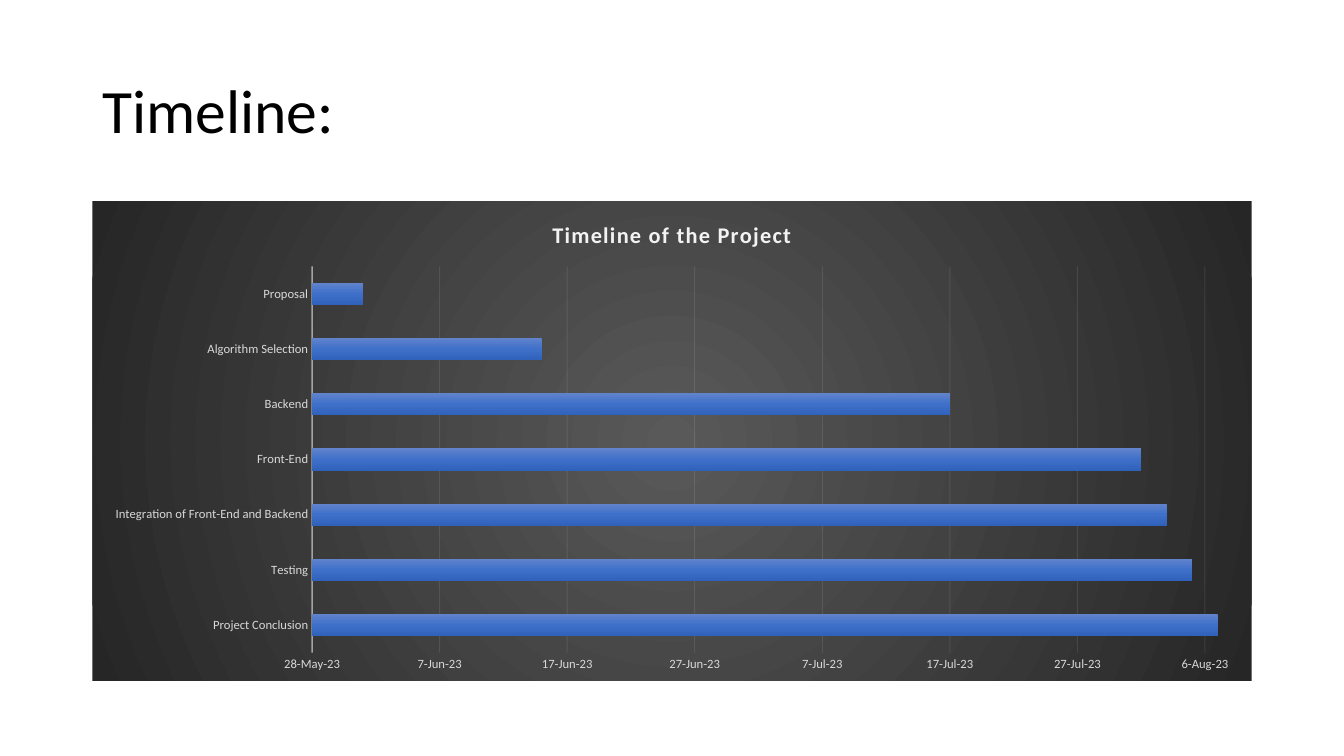
from lxml import etree
from pptx import Presentation
from pptx.chart.data import CategoryChartData
from pptx.dml.color import RGBColor
from pptx.enum.chart import XL_CHART_TYPE, XL_TICK_MARK
from pptx.enum.text import MSO_ANCHOR, MSO_AUTO_SIZE, PP_ALIGN
from pptx.oxml import parse_xml
from pptx.oxml.ns import nsdecls, qn
from pptx.util import Cm, Pt

BAR_STACKED = XL_CHART_TYPE.BAR_STACKED
NO_TICK = XL_TICK_MARK.NONE
MIDDLE = MSO_ANCHOR.MIDDLE
NO_AUTOFIT = MSO_AUTO_SIZE.NONE
LEFT = PP_ALIGN.LEFT

FONT = "Calibri"
DATE_FORMAT = r"d\-mmm\-yy"
MILESTONES = [
    ("Project Conclusion", 45145),
    ("Testing", 45143),
    ("Integration of Front-End and Backend", 45141),
    ("Front-End", 45139),
    ("Backend", 45124),
    ("Algorithm Selection", 45092),
    ("Proposal", 45078),
]


def style_font(font, size, color):
    font.name = FONT
    font.size = Pt(size)
    font.color.rgb = RGBColor.from_string(color)


def gradient_fill(stops, direction):
    stop_xml = "".join(
        f'<a:gs pos="{position * 1000}"><a:srgbClr val="{color}"/></a:gs>'
        for position, color in stops
    )
    return parse_xml(
        f'<a:gradFill {nsdecls("a")} rotWithShape="1">'
        f"<a:gsLst>{stop_xml}</a:gsLst>{direction}</a:gradFill>"
    )


presentation = Presentation()
presentation.slide_width = Cm(33.87)
presentation.slide_height = Cm(19.05)
slide = presentation.slides.add_slide(presentation.slide_layouts[5])

title = slide.shapes.title
title.left, title.top, title.width, title.height = Cm(2.33), Cm(1.01), Cm(29.21), Cm(3.68)
title.text_frame.text = "Timeline:"
title.text_frame.vertical_anchor = MIDDLE
title.text_frame.auto_size = NO_AUTOFIT
title_paragraph = title.text_frame.paragraphs[0]
title_paragraph.alignment = LEFT
title_paragraph.line_spacing = 0.9
style_font(title_paragraph.runs[0].font, 44, "000000")

chart_data = CategoryChartData(number_format=DATE_FORMAT)
chart_data.categories = [name for name, date in MILESTONES]
chart_data.add_series("Series 1", [date for name, date in MILESTONES])
chart = slide.shapes.add_chart(
    BAR_STACKED, Cm(2.33), Cm(5.07), Cm(29.21), Cm(12.09), chart_data
).chart
chart.has_legend = False
style_font(chart.font, 10, "000000")

chart.has_title = True
chart.chart_title.include_in_layout = False
chart.chart_title.text_frame.text = "Timeline of the Project"
heading_run = chart.chart_title.text_frame.paragraphs[0].runs[0]
style_font(heading_run.font, 16, "F2F2F2")
heading_run.font.bold = True
heading_run.font._element.set("spc", "100")

plot = chart.plots[0]
plot.gap_width = 150
plot.overlap = 100
bar_properties = plot.series[0]._element.get_or_add_spPr()
bar_properties.append(
    gradient_fill(
        [(0, "6183CB"), (50, "3E70CA"), (100, "3062BB")],
        '<a:lin ang="5400000" scaled="0"/>',
    )
)

background = parse_xml(f'<c:spPr {nsdecls("c", "a")}/>')
background.append(
    gradient_fill(
        [(0, "595959"), (100, "262626")],
        '<a:path path="circle"><a:fillToRect l="50000" t="50000" r="50000" b="50000"/></a:path>',
    )
)
background_line = etree.SubElement(background, qn("a:ln"))
etree.SubElement(background_line, qn("a:noFill"))
chart.element.find(qn("c:chart")).addnext(background)

category_axis = chart.category_axis
value_axis = chart.value_axis
for axis in (category_axis, value_axis):
    axis.major_tick_mark = NO_TICK
    axis.minor_tick_mark = NO_TICK
    style_font(axis.tick_labels.font, 9, "D9D9D9")

value_axis.minimum_scale = 45074
value_axis.maximum_scale = 45145
value_axis.major_unit = 10
value_axis.tick_labels.number_format = DATE_FORMAT
value_axis.tick_labels.number_format_is_linked = False
value_axis.format.line.fill.background()
value_axis.has_major_gridlines = True

for line, width, opacity, location in (
    (category_axis.format.line, 1, 54, "c:catAx/c:spPr"),
    (value_axis.major_gridlines.format.line, 0.75, 10, "c:valAx/c:majorGridlines/c:spPr"),
):
    line.width = Pt(width)
    line.color.rgb = RGBColor.from_string("F2F2F2")
    color_element = chart.element.xpath(f".//{location}/a:ln//a:srgbClr")[0]
    etree.SubElement(color_element, qn("a:alpha")).set("val", str(opacity * 1000))

presentation.save("out.pptx")
